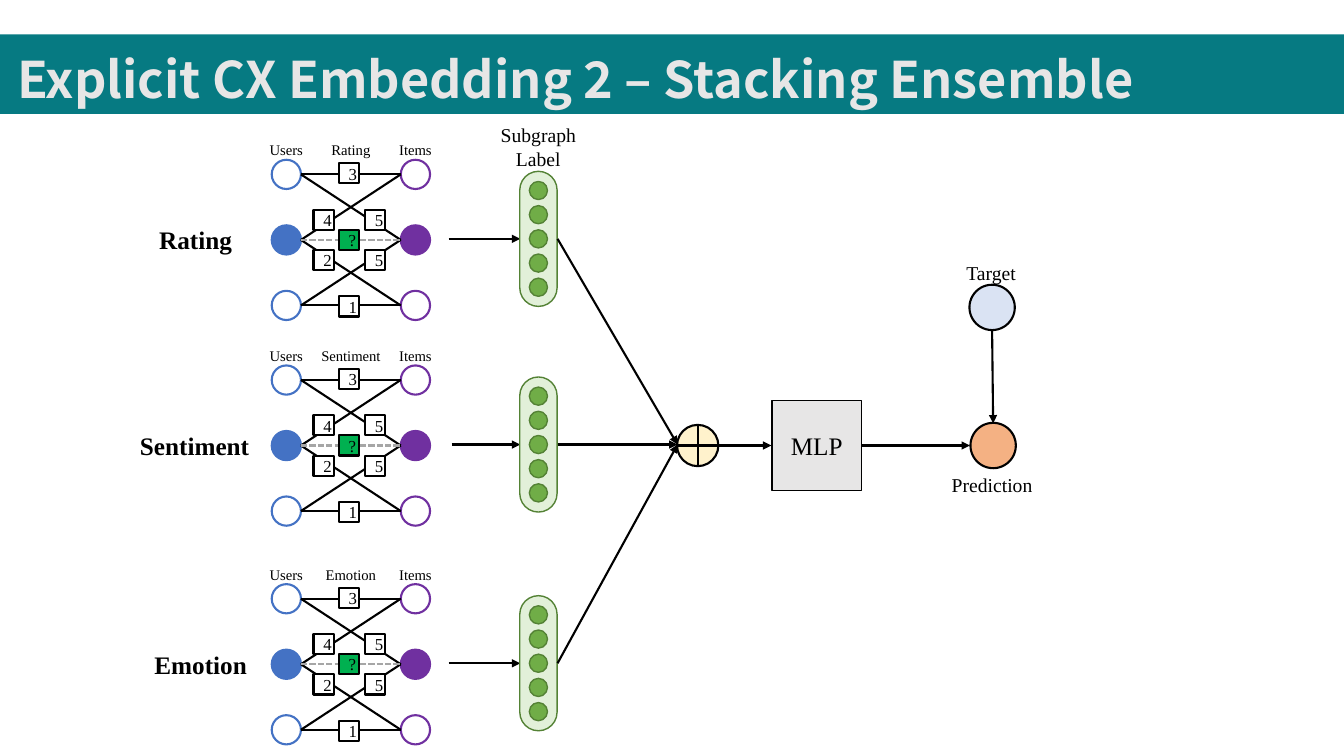
"""Build the stacking ensemble slide: three rating graphs feeding one MLP."""
import pptx
import pptx.util
import pptx.dml.color
import pptx.enum.dml
import pptx.enum.shapes
import pptx.enum.text
import pptx.oxml.ns
from lxml import etree

TITLE = "Explicit CX Embedding 2 – Stacking Ensemble"
SLIDE_SIZE = (13.33, 7.5)
SERIF = "Times New Roman"
TITLE_FONT = "Noto Sans CJK KR"
COLORS = {
    "band": "067A82", "pale": "E7E6E6", "ink": "000000", "paper": "FFFFFF",
    "user": "4472C4", "item": "7030A0", "unknown": "00B050", "dash": "A6A6A6",
    "vector": "E2F0D9", "vector_line": "548235", "dot": "70AD47",
    "sum": "FFF2CC", "prediction": "F4B183", "target": "DAE3F3",
}

# name, middle of the row, middle and width of its heading, start of its arrow
GRAPHS = [
    ("Rating", 2.38, 1.94, 1.01, 4.45),
    ("Sentiment", 4.42, 1.93, 1.33, 4.48),
    ("Emotion", 6.59, 1.99, 1.33, 4.45),
]
COLUMN = {"user": 2.84, "score": 3.46, "item": 4.12, "vector": 5.34,
          "sum": 6.92, "mlp": 8.1, "output": 9.84}
NODE, BOX, ROW_STEP, DOT_STEP = 0.29, 0.2, 0.65, 0.24
DOT_COUNT = 5
EDGES = [(-1, -1), (0, -1), (1, 0), (0, 1), (1, 1), (-1, 0)]
# text, column and row offset from the middle of the graph, fill
SCORES = [
    ("3", 0, -0.66, "paper"), ("4", -0.25, -0.2, "paper"),
    ("5", 0.26, -0.2, "paper"), ("2", -0.25, 0.2, "paper"),
    ("5", 0.26, 0.2, "paper"), ("1", 0, 0.66, "paper"),
    ("?", 0, 0, "unknown"),
]

SHAPE = pptx.enum.shapes.MSO_SHAPE
ALIGN = pptx.enum.text.PP_ALIGN
MIDDLE = pptx.enum.text.MSO_ANCHOR.MIDDLE
inches = pptx.util.Inches


def rgb(name):
    return pptx.dml.color.RGBColor.from_string(COLORS[name])


def write(frame, lines, size, color="ink", font=SERIF, bold=False,
          align=ALIGN.CENTER, spacing=None):
    for index, line in enumerate(lines):
        paragraph = frame.add_paragraph() if index else frame.paragraphs[0]
        paragraph.alignment = align
        if spacing:
            paragraph.line_spacing = spacing
        run = paragraph.add_run()
        run.text = line
        run.font.name = font
        run.font.size = pptx.util.Pt(size)
        run.font.bold = bold
        run.font.color.rgb = rgb(color)


def place(shape, left, top, width, height):
    shape.left, shape.top = inches(left), inches(top)
    shape.width, shape.height = inches(width), inches(height)


def add_label(shapes, lines, center, top, width, height, size, **style):
    label = shapes.add_textbox(inches(center - width / 2), inches(top),
                               inches(width), inches(height))
    label.text_frame.word_wrap = True
    label.text_frame.auto_size = pptx.enum.text.MSO_AUTO_SIZE.SHAPE_TO_FIT_TEXT
    write(label.text_frame, lines, size, **style)


def add_node(shapes, kind, x, y, width, height, fill=None, line="ink",
             weight=1.5, text=None, size=12):
    node = shapes.add_shape(kind, inches(x - width / 2), inches(y - height / 2),
                            inches(width), inches(height))
    node.shadow.inherit = False
    if fill:
        node.fill.solid()
        node.fill.fore_color.rgb = rgb(fill)
    else:
        node.fill.background()
    if line:
        node.line.color.rgb = rgb(line)
        node.line.width = pptx.util.Pt(weight)
    else:
        node.line.fill.background()
    if text:
        node.text_frame.vertical_anchor = MIDDLE
        write(node.text_frame, [text], size)
    return node


def add_line(shapes, start, end, color="ink", dashed=False, arrow=False):
    connector = shapes.add_connector(pptx.enum.shapes.MSO_CONNECTOR.STRAIGHT,
                                     *map(inches, start + end))
    connector.line.color.rgb = rgb(color)
    connector.line.width = pptx.util.Pt(1.5)
    if dashed:
        connector.line.dash_style = pptx.enum.dml.MSO_LINE.SQUARE_DOT
    qn = pptx.oxml.ns.qn
    properties = connector.element.spPr
    if arrow:
        etree.SubElement(properties.find(qn("a:ln")), qn("a:tailEnd"), type="triangle")
    etree.SubElement(properties, qn("a:effectLst"))


def add_graph(slide, name, middle):
    shapes = slide.shapes.add_group_shape().shapes
    for role in ("user", "item"):
        for row in (-1, 0, 1):
            add_node(shapes, SHAPE.OVAL, COLUMN[role], middle + row * ROW_STEP,
                     NODE, NODE, None if row else role, role)
    left = COLUMN["user"] + NODE / 2
    right = COLUMN["item"] - NODE / 2
    for user_row, item_row in EDGES:
        add_line(shapes, (left, middle + user_row * ROW_STEP),
                 (right, middle + item_row * ROW_STEP))
    add_line(shapes, (left, middle), (right, middle), "dash", dashed=True)
    for text, across, down, fill in SCORES:
        add_node(shapes, SHAPE.RECTANGLE, COLUMN["score"] + across, middle + down,
                 BOX, BOX, fill, text=text)
    center = (COLUMN["user"] + COLUMN["item"]) / 2
    for caption, x in (("Users", COLUMN["user"]), (name, center), ("Items", COLUMN["item"])):
        add_label(shapes, [caption], x, middle - 1.03, 1.01, 0.23, 10.5)


def add_vector(slide, middle):
    shapes = slide.shapes.add_group_shape().shapes
    capsule = add_node(shapes, SHAPE.ROUNDED_RECTANGLE, COLUMN["vector"], middle,
                       1.34, 0.37, "vector", "vector_line", 1)
    capsule.adjustments[0] = 0.5
    capsule.rotation = 90
    for index in range(DOT_COUNT):
        add_node(shapes, SHAPE.OVAL, COLUMN["vector"],
                 middle + (index - DOT_COUNT // 2) * DOT_STEP,
                 0.18, 0.18, "dot", "vector_line", 1)


def add_heading(slide):
    title = slide.shapes.title
    place(title, 0.07, 0.17, 13.27, 0.92)
    frame = title.text_frame
    frame.word_wrap = True
    frame.vertical_anchor = MIDDLE
    frame.auto_size = pptx.enum.text.MSO_AUTO_SIZE.SHAPE_TO_FIT_TEXT
    write(frame, [TITLE], 36, "pale", TITLE_FONT, True, ALIGN.LEFT, 1.5)
    band = add_node(slide.shapes, SHAPE.RECTANGLE, SLIDE_SIZE[0] / 2, 0.735,
                    SLIDE_SIZE[0], 0.79, "band", None)
    title.element.addprevious(band.element)


def add_output(slide, middle):
    shapes = slide.shapes
    output = COLUMN["output"]
    add_label(shapes, ["Prediction"], output, 4.53, 1.05, 0.41, 14, spacing=1.5)
    add_node(shapes, SHAPE.OVAL, output + 0.01, middle, 0.45, 0.45, "prediction")
    add_node(shapes, SHAPE.OVAL, output, 3.05, 0.45, 0.45, "target")
    add_label(shapes, ["Target"], output - 0.01, 2.42, 1.05, 0.41, 14, spacing=1.5)
    add_line(shapes, (output, 3.28), (output + 0.01, 4.2), arrow=True)
    add_node(shapes, SHAPE.RECTANGLE, COLUMN["mlp"], middle, 0.89, 0.89, "pale",
             weight=1, text="MLP", size=18)
    add_line(shapes, (7.12, middle), (7.65, middle), arrow=True)
    add_line(shapes, (8.55, middle), (9.62, middle), arrow=True)


def main():
    presentation = pptx.Presentation()
    presentation.slide_width, presentation.slide_height = map(inches, SLIDE_SIZE)
    slide = presentation.slides.add_slide(presentation.slide_layouts[5])
    shapes = slide.shapes
    add_heading(slide)
    center = GRAPHS[1][1]
    add_node(shapes, SHAPE.FLOWCHART_OR, COLUMN["sum"], center, 0.41, 0.41, "sum")
    for name, middle, heading, width, start in GRAPHS:
        add_graph(slide, name, middle)
        add_label(shapes, [name], heading, middle - 0.2, width, 0.4, 18, bold=True)
        axis = middle - 0.01
        add_line(shapes, (start, axis), (5.16, axis), arrow=True)
        add_vector(slide, axis)
        add_line(shapes, (5.53, axis), (6.72, center - 0.01), arrow=True)
    add_label(shapes, ["Subgraph", "Label"], COLUMN["vector"], 1.17, 1.73, 0.57, 14)
    add_output(slide, center)
    presentation.save("out.pptx")


if __name__ == "__main__":
    main()
